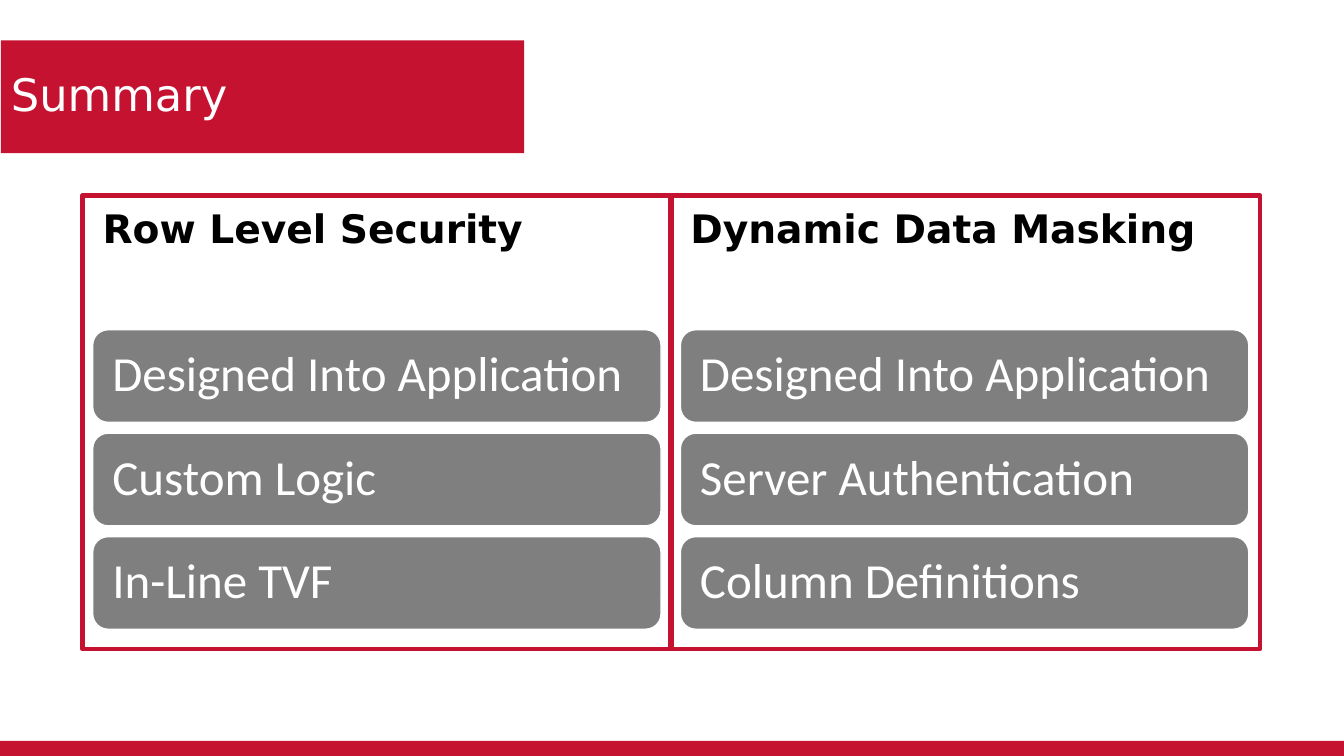
from dataclasses import dataclass

from pptx import Presentation
from pptx.dml.color import RGBColor as Color
from pptx.enum.shapes import MSO_SHAPE as Preset
from pptx.enum.text import MSO_ANCHOR as Anchor, PP_ALIGN as Align
from pptx.util import Pt


@dataclass(frozen=True)
class Theme:
    red: Color = Color(0xC4, 0x12, 0x30)
    gray: Color = Color(0x7F, 0x7F, 0x7F)
    white: Color = Color(0xFF, 0xFF, 0xFF)
    black: Color = Color(0, 0, 0)
    heading_font: str = "DejaVu Sans"
    card_font: str = "Calibri"
    title_size: float = 32
    heading_size: float = 28
    card_size: float = 35
    frame_line: float = 3.25
    card_line: float = 1


SLIDE_WIDTH, SLIDE_HEIGHT = 960, 540
CARD_WIDTH, CARD_HEIGHT = 406, 66.2
CARD_TOP, CARD_PITCH = 235.5, 73.9
FRAME_TOP, FRAME_WIDTH, FRAME_HEIGHT = 139.7, 420, 324

# Heading, content left, frame left, cards
COLUMNS = [
    ("Row Level Security", 66.2, 59,
     ["Designed Into Application", "Custom Logic", "In-Line TVF"]),
    ("Dynamic Data Masking", 486, 480,
     ["Designed Into Application", "Server Authentication", "Column Definitions"]),
]


class SlideBuilder:
    def __init__(self, slide, theme):
        self.slide = slide
        self.theme = theme

    def shape(self, preset, box, fill=None, line=None, line_width=1):
        shape = self.slide.shapes.add_shape(preset, *map(Pt, box))
        shape.shadow.inherit = False
        if fill is None:
            shape.fill.background()
        else:
            shape.fill.solid()
            shape.fill.fore_color.rgb = fill
        if line is None:
            shape.line.fill.background()
        else:
            shape.line.color.rgb = line
            shape.line.width = Pt(line_width)
        return shape

    def label(self, shape, text, font, size, color, bold=False, inset=7.2):
        """Fill the shape with one left-aligned, vertically centred line."""
        frame = shape.text_frame
        frame.text = text
        frame.word_wrap = True
        frame.vertical_anchor = Anchor.MIDDLE
        frame.margin_left = frame.margin_right = Pt(inset)
        frame.margin_top = frame.margin_bottom = Pt(inset / 2)
        paragraph = frame.paragraphs[0]
        paragraph.alignment = Align.LEFT
        paragraph.line_spacing = 0.9
        run_font = paragraph.runs[0].font
        run_font.name = font
        run_font.size = Pt(size)
        run_font.color.rgb = color
        run_font.bold = bold

    def footer_bar(self):
        self.shape(Preset.RECTANGLE, (0, 529.2, SLIDE_WIDTH, 10.8), self.theme.red)

    def title(self, text):
        theme = self.theme
        banner = self.shape(Preset.RECTANGLE, (0.7, 28.8, 373.7, 80.6), theme.red)
        self.label(banner, text, theme.heading_font, theme.title_size, theme.white)

    def heading(self, text, left):
        theme = self.theme
        box = self.slide.shapes.add_textbox(*map(Pt, (left, 132.5, CARD_WIDTH, 64.8)))
        self.label(box, text, theme.heading_font, theme.heading_size, theme.black, bold=True)

    def card(self, text, left, top):
        theme = self.theme
        card = self.shape(Preset.ROUNDED_RECTANGLE, (left, top, CARD_WIDTH, CARD_HEIGHT),
                          theme.gray, theme.white, theme.card_line)
        self.label(card, text, theme.card_font, theme.card_size, theme.white, inset=10.8)

    def frame(self, left):
        self.shape(Preset.RECTANGLE, (left, FRAME_TOP, FRAME_WIDTH, FRAME_HEIGHT),
                   line=self.theme.red, line_width=self.theme.frame_line)


def main():
    presentation = Presentation()
    presentation.slide_width = Pt(SLIDE_WIDTH)
    presentation.slide_height = Pt(SLIDE_HEIGHT)
    slide = presentation.slides.add_slide(presentation.slide_layouts[6])
    builder = SlideBuilder(slide, Theme())

    builder.footer_bar()
    builder.title("Summary")
    for heading, content_left, frame_left, cards in COLUMNS:
        builder.heading(heading, content_left)
        for row, text in enumerate(cards):
            builder.card(text, content_left, CARD_TOP + row * CARD_PITCH)
        builder.frame(frame_left)

    presentation.save("out.pptx")


if __name__ == "__main__":
    main()
